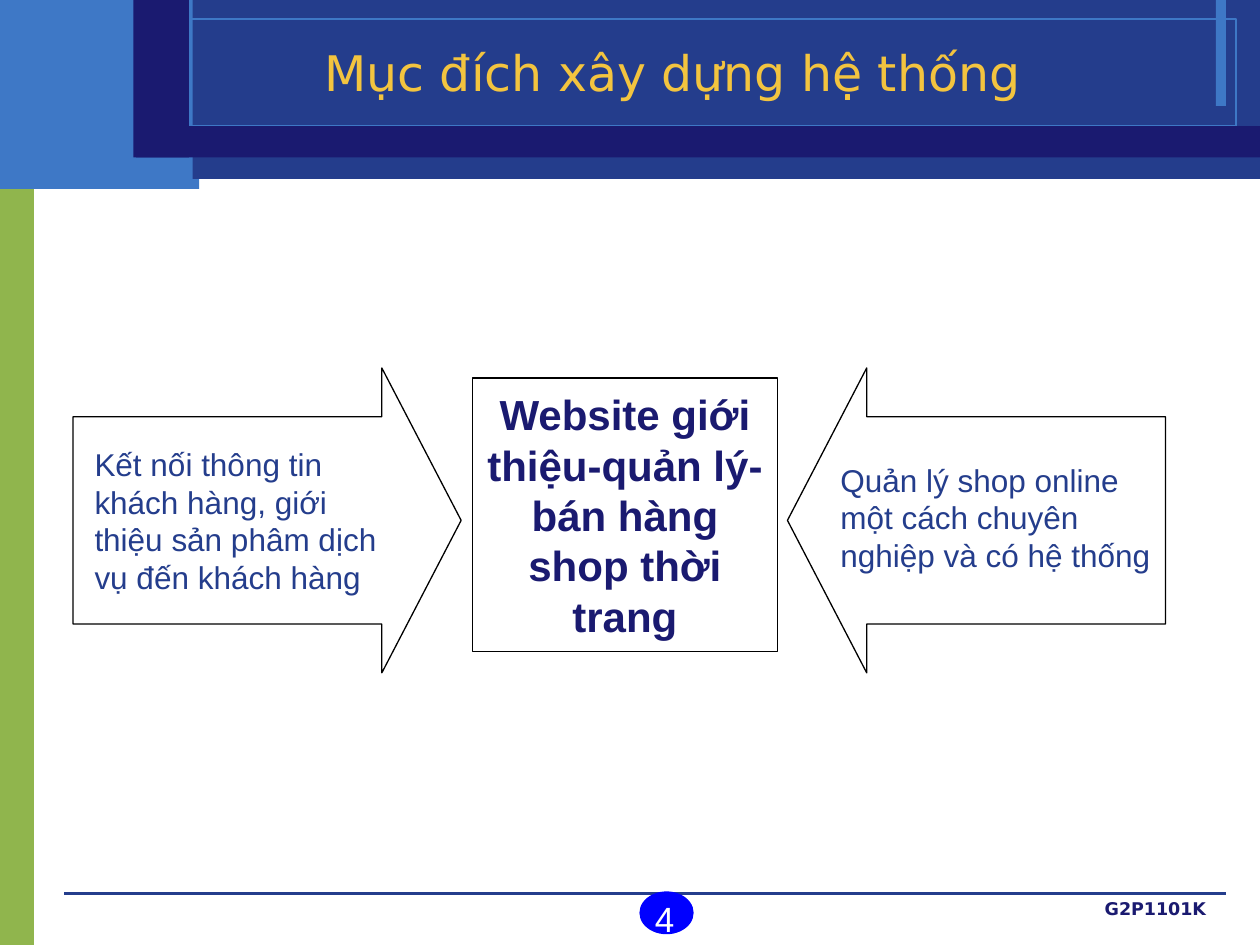
"""Build the slide on the purpose of the system: two arrows pointing at a central box."""
from lxml import etree
from pptx import Presentation
from pptx.dml.color import RGBColor
from pptx.enum.shapes import MSO_CONNECTOR, MSO_SHAPE
from pptx.enum.text import MSO_ANCHOR, MSO_AUTO_SIZE, PP_ALIGN
from pptx.oxml.ns import qn
from pptx.util import Inches, Pt

RECT, OVAL = MSO_SHAPE.RECTANGLE, MSO_SHAPE.FLOWCHART_CONNECTOR
RIGHT_ARROW, LEFT_ARROW = MSO_SHAPE.RIGHT_ARROW, MSO_SHAPE.LEFT_ARROW
STRAIGHT = MSO_CONNECTOR.STRAIGHT
LEFT, CENTER, RIGHT = PP_ALIGN.LEFT, PP_ALIGN.CENTER, PP_ALIGN.RIGHT
TOP, MIDDLE = MSO_ANCHOR.TOP, MSO_ANCHOR.MIDDLE
NO_AUTOSIZE = MSO_AUTO_SIZE.NONE

W, H = 10, 7.5
NAVY, BLUE, SKY, GREEN = "1A1A70", "243D8C", "3E78C6", "90B54D"
GOLD, BLACK, WHITE, BADGE = "F3C43F", "000000", "FFFFFF", "0000FF"
SANS, ARIAL = "DejaVu Sans", "Arial"

TITLE = "Mục đích xây dựng hệ thống"
CENTRE = "Website giới thiệu-quản lý-bán hàng shop thời trang"
NUMBER, FOOTER = "4", "G2P1101K"

BANDS = [  # box, fill, line
    ((0, 1.07, 0.27, H - 1.07), GREEN, None),
    ((0, 0, 1.58, 1.5), SKY, None),
    ((1.53, 0, W - 1.53, 1.42), BLUE, None),
    ((9.65, 0, 0.08, 0.84), SKY, None),
    ((0.2, 0.15, 9.61, 0.85), None, SKY),
    ((1.08, 1, W - 1.08, 0.25), NAVY, None),
    ((1.06, 0, 0.44, 1.25), NAVY, None),
]
ARROW_TOP, ARROW_H, SHAFT, HEAD = 2.92, 2.42, 0.68, 0.26
ARROWS = [
    (RIGHT_ARROW, 0.58, 3.08, (0.75, 3.67, 2.45, 0.92),
     "Kết nối thông tin khách hàng, giới thiệu sản phâm dịch vụ đến khách hàng"),
    (LEFT_ARROW, 6.25, 3, (6.67, 3.83, 2.6, 0.55),
     "Quản lý shop online một cách chuyên nghiệp và có hệ thống"),
]


def rgb(value):
    return RGBColor.from_string(value)


def add_box(shapes, kind, box, fill=None, line=None, width=0.75):
    sp = shapes.add_shape(kind, *map(Inches, box))
    sp.shadow.inherit = False
    if fill:
        sp.fill.solid()
        sp.fill.fore_color.rgb = rgb(fill)
    else:
        sp.fill.background()
    if line:
        sp.line.color.rgb = rgb(line)
        sp.line.width = Pt(width)
    else:
        sp.line.fill.background()
    return sp


def write(sp, text, size, color, font=ARIAL, bold=False, align=LEFT, anchor=TOP, inset=(0.1, 0.05)):
    tf = sp.text_frame
    tf.word_wrap, tf.auto_size, tf.vertical_anchor = True, NO_AUTOSIZE, anchor
    tf.margin_left = tf.margin_right = Inches(inset[0])
    tf.margin_top = tf.margin_bottom = Inches(inset[1])
    p = tf.paragraphs[0]
    p.alignment = align
    r = p.add_run()
    r.text = text
    r.font.size, r.font.name, r.font.bold = Pt(size), font, bold
    r.font.color.rgb = rgb(color)


def add_text(shapes, box, text, size, color, **fmt):
    write(shapes.add_textbox(*map(Inches, box)), text, size, color, **fmt)


def add_rule(shapes, left, right, y):
    line = shapes.add_connector(STRAIGHT, Inches(left), Inches(y), Inches(right), Inches(y))
    line.line.color.rgb = rgb(BLUE)
    line.line.width = Pt(0)
    etree.SubElement(line.element.spPr, qn("a:effectLst"))


def add_title(s):
    title = s.shapes.title
    title.left, title.top, title.width, title.height = map(Inches, (1.25, 0.26, 8.17, 0.62))
    write(title, TITLE, 28, GOLD, font=SANS, align=CENTER, anchor=MIDDLE)
    s.shapes.element.append(title.element)


def main():
    prs = Presentation()
    prs.slide_width, prs.slide_height = Inches(W), Inches(H)
    s = prs.slides.add_slide(prs.slide_layouts[5])
    shapes = s.shapes

    for box, fill, line in BANDS:
        add_box(shapes, RECT, box, fill, line, width=0)
    add_rule(shapes, 0.51, 9.73, 7.09)
    add_title(s)

    centre = add_box(shapes, RECT, (3.75, 3, 2.42, 2.17), line=BLACK)
    write(centre, CENTRE, 24, NAVY, bold=True, align=CENTER, anchor=MIDDLE)

    for kind, left, width, text_box, text in ARROWS:
        group = shapes.add_group_shape().shapes
        arrow = add_box(group, kind, (left, ARROW_TOP, width, ARROW_H), line=BLACK)
        arrow.adjustments[0], arrow.adjustments[1] = SHAFT, HEAD
        add_text(group, text_box, text, 18, BLUE, anchor=MIDDLE, inset=(0, 0))

    add_box(shapes, OVAL, (5.08, 7.08, 0.42, 0.33), BADGE, BADGE)
    add_text(shapes, (5.08, 7.07, 0.39, 0.44), NUMBER, 20, WHITE, align=CENTER)
    add_text(shapes, (7.67, 7.08, 2, 0.25), FOOTER, 10, NAVY, font=SANS, bold=True, align=RIGHT)
    prs.save("out.pptx")


if __name__ == "__main__":
    main()
